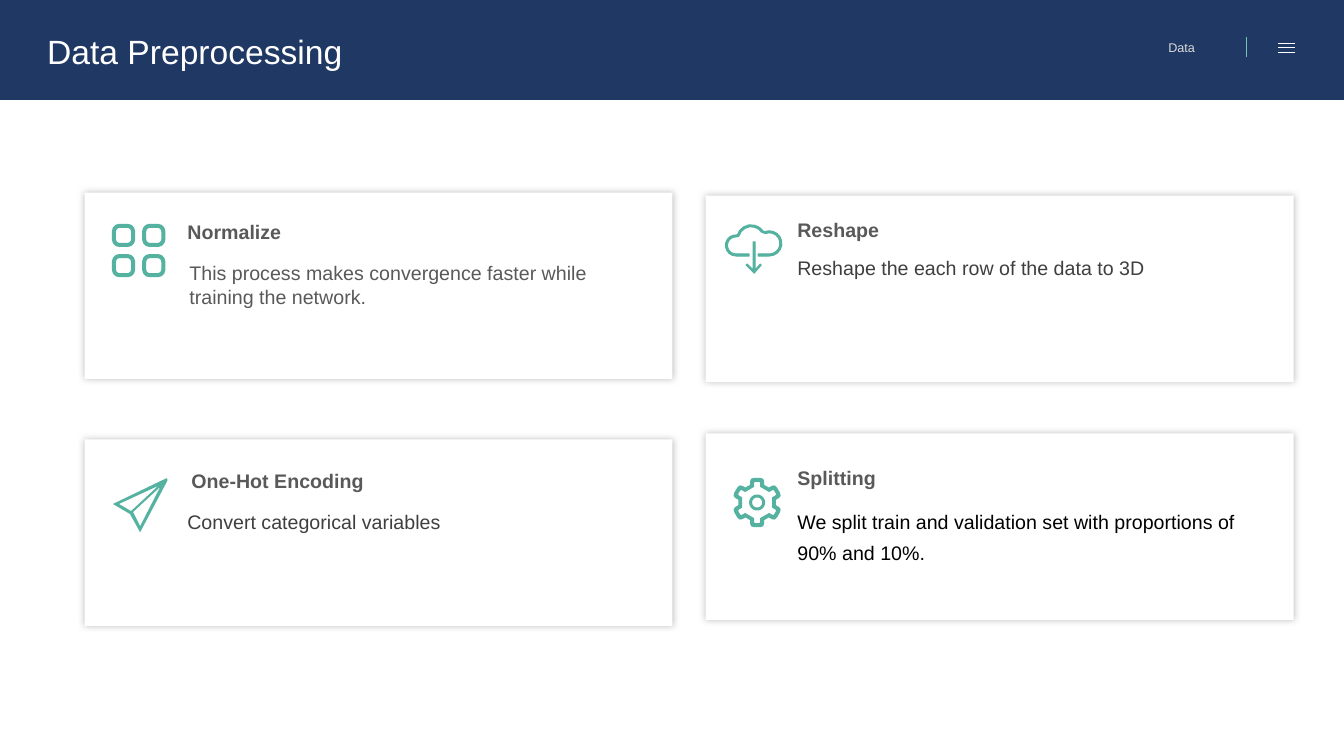
"""Build the Data Preprocessing slide on a grid of 1333 columns by 750 rows."""
from math import cos, radians, sin

from lxml.etree import SubElement
from pptx import Presentation
from pptx.dml.color import RGBColor
from pptx.enum.shapes import MSO_CONNECTOR, MSO_SHAPE
from pptx.enum.text import MSO_AUTO_SIZE, PP_ALIGN
from pptx.oxml.ns import qn
from pptx.util import Inches, Pt

CELL = Inches(0.01)
COLUMNS, ROWS = 1333, 750
WHITE = RGBColor(0xFF, 0xFF, 0xFF)
BLACK = RGBColor(0x00, 0x00, 0x00)
NAVY = RGBColor(0x20, 0x38, 0x64)
TEAL = RGBColor(0x55, 0xB2, 0xA0)
PALE_TEAL = RGBColor(0x78, 0xC2, 0xB4)
HEADING_GRAY = RGBColor(0x59, 0x59, 0x59)
BODY_GRAY = RGBColor(0x3F, 0x3F, 0x3F)
LIGHT_GRAY = RGBColor(0xD9, 0xD9, 0xD9)
SHADOW_GRAY = RGBColor(0xBF, 0xBF, 0xBF)


def arc(x, y, radius, start, end):
    """Return points about 20 degrees apart along a clockwise arc."""
    steps = round((end - start) / 20)
    angles = [radians(start + (end - start) * step / steps) for step in range(steps + 1)]
    return [(x + radius * cos(a), y + radius * sin(a)) for a in angles]


def add_icon(contours, outlined=False):
    """Draw closed contours as one teal shape; nested contours make holes."""
    scaled = [[(x * CELL, y * CELL) for x, y in contour] for contour in contours]
    builder = page.shapes.build_freeform(*scaled[0][0])
    for number, contour in enumerate(scaled):
        if number:
            builder.move_to(*contour[0])
        builder.add_line_segments(contour[1:], close=True)
    icon = builder.convert_to_shape()
    icon.shadow.inherit = False
    icon.fill.solid()
    icon.fill.fore_color.rgb = TEAL
    if outlined:
        icon.line.color.rgb = TEAL
        icon.line.width = Pt(0.75)
    else:
        icon.line.fill.background()


deck = Presentation()
deck.slide_width, deck.slide_height = COLUMNS * CELL, ROWS * CELL
page = deck.slides.add_slide(deck.slide_layouts[6])

CARD = (583, 185)
panels = [
    (84, 436, *CARD, WHITE),
    (700, 430, *CARD, WHITE),
    (700, 194, *CARD, WHITE),
    (84, 191, *CARD, WHITE),
    (0, 0, COLUMNS, 99, NAVY),
]
for *place, color in panels:
    panel = page.shapes.add_shape(MSO_SHAPE.RECTANGLE, *[n * CELL for n in place])
    panel.fill.solid()
    panel.fill.fore_color.rgb = color
    panel.line.fill.background()
    panel.shadow.inherit = False
    if color == WHITE:
        effects = panel.element.spPr.find(qn("a:effectLst"))
        shadow = SubElement(effects, qn("a:outerShdw"), blurRad=str(Pt(5)),
                            dist="0", dir="0", algn="ctr", rotWithShape="0")
        SubElement(shadow, qn("a:srgbClr"), val=str(SHADOW_GRAY))

TILE = 19 * CELL
for tile_x in (113, 143):
    for tile_y in (224, 254):
        tile = page.shapes.add_shape(MSO_SHAPE.ROUNDED_RECTANGLE,
                                     tile_x * CELL, tile_y * CELL, TILE, TILE)
        tile.adjustments[0] = 0.29
        tile.shadow.inherit = False
        tile.fill.background()
        tile.line.color.rgb = TEAL
        tile.line.width = 4 * CELL

add_icon([
    [(165, 474.5), (112, 500), (129, 510), (139, 528), (166, 477), (166, 475)],
    [(118, 500), (157, 482), (130, 507)],
    [(139, 522), (132, 508), (159, 483)],
])

GEAR_X, GEAR_Y = 751, 498.5
gear = [arc(GEAR_X, GEAR_Y, radius, 0, 360) for radius in (8, 5)]
outer_tooth = [(-7, -17.5), (-7, -21), (-6, -23.5), (-3, -24.5),
               (3, -24.5), (6, -23.5), (7, -21), (7, -17.5)]
inner_tooth = [(-3, -15.5), (-3, -19.5), (-2, -20.5),
               (2, -20.5), (3, -19.5), (3, -15.5)]
for tooth in (outer_tooth, inner_tooth):
    gear.append([
        (GEAR_X + x * cos(turn) - y * sin(turn), GEAR_Y + x * sin(turn) + y * cos(turn))
        for turn in [radians(60 * number) for number in range(6)]
        for x, y in tooth
    ])
add_icon(gear)

cloud = []
for offset in (1, -1):
    edge = [(743, 253 + offset)]
    edge += arc(730, 243.5, 9.5 + offset, 90, 278)
    edge += arc(745, 237.5, 13.5 + offset, 195, 325)
    edge += arc(763, 241.5, 11.5 + offset, 248, 450)
    edge += [(752, 253 + offset)]
    cloud += edge[::offset]
add_icon([cloud], outlined=True)
add_icon([[(747, 240), (749, 240), (749, 268), (754, 262), (755, 263),
           (748, 271), (740, 263), (741, 262), (747, 268)]], outlined=True)

texts = [
    (176, 213, 382, 34, "Normalize", 14, HEADING_GRAY, True),
    (178, 254, 460, 57,
     "This process makes convergence faster while training the network.",
     14, HEADING_GRAY, False),
    (781, 211, 224, 34, "Reshape", 14, HEADING_GRAY, True),
    (781, 249, 443, 34, "Reshape the each row of the data to 3D", 14, BODY_GRAY, False),
    (180, 460, 224, 57, "One-Hot Encoding", 14, HEADING_GRAY, True),
    (176, 501, 443, 34, "Convert categorical variables", 14, BODY_GRAY, False),
    (781, 457, 224, 34, "Splitting", 14, HEADING_GRAY, True),
    (781, 494, 461, 68,
     "We split train and validation set with proportions of 90% and 10%.",
     14, BLACK, False),
    (37, 26, 330, 50, "Data Preprocessing", 24, WHITE, False),
    (1124, 35, 96, 25, "Data", 9, LIGHT_GRAY, False),
]
for *place, words, size, color, bold in texts:
    box = page.shapes.add_textbox(*[n * CELL for n in place])
    box.text_frame.word_wrap = True
    box.text_frame.auto_size = MSO_AUTO_SIZE.SHAPE_TO_FIT_TEXT
    box.text_frame.text = words
    para = box.text_frame.paragraphs[0]
    if color == BLACK:
        para.line_spacing = 1.3
    if color == LIGHT_GRAY:
        para.alignment = PP_ALIGN.CENTER
    span = para.runs[0]
    span.font.name = "Arial"
    span.font.size = Pt(size)
    span.font.bold = bold
    span.font.color.rgb = color

rules = [(1268, y, 1284, y, WHITE) for y in (43, 47.5, 52)]
rules.append((1236, 37, 1236, 57, PALE_TEAL))
for *ends, color in rules:
    rule = page.shapes.add_connector(MSO_CONNECTOR.STRAIGHT,
                                     *[int(n * CELL) for n in ends])
    rule.line.color.rgb = color
    rule.line.width = Pt(0.75)
    SubElement(rule.element.spPr, qn("a:effectLst"))

deck.save("out.pptx")
